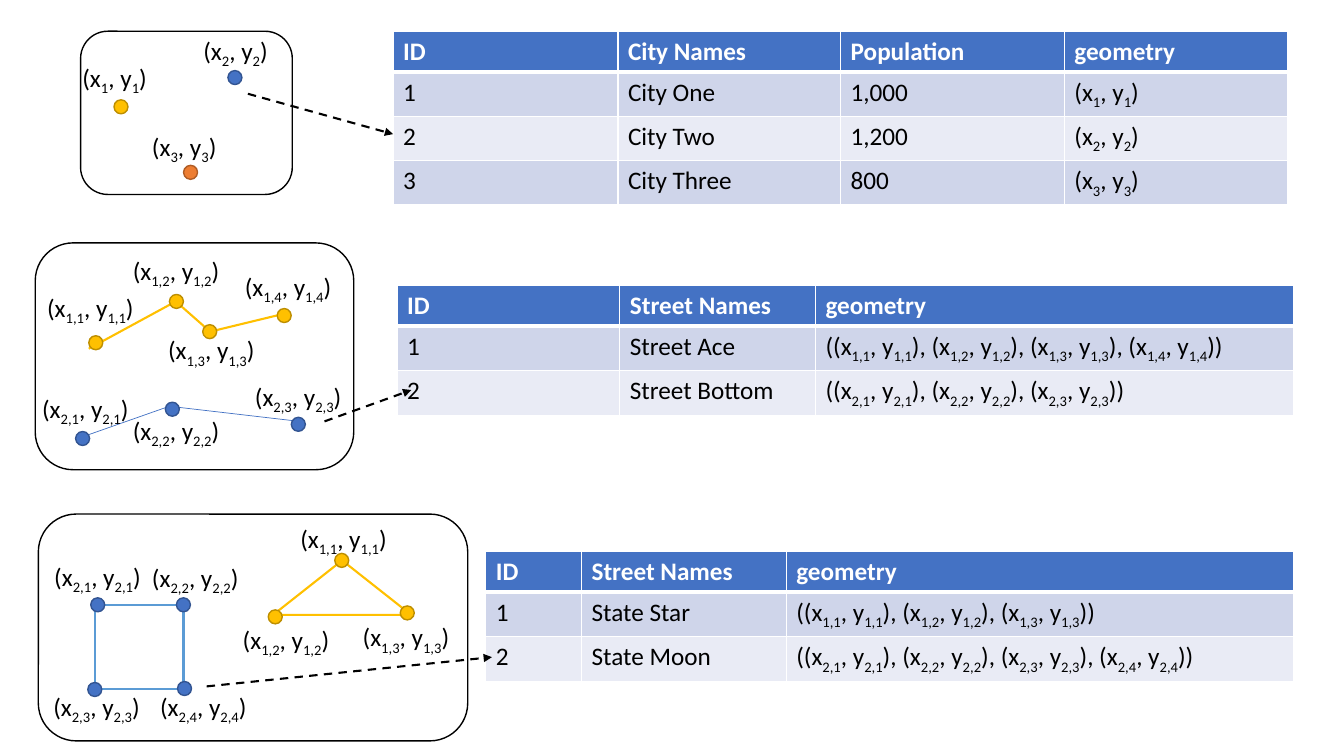
from dataclasses import dataclass
from itertools import pairwise

from lxml.etree import SubElement
from pptx import Presentation
from pptx.dml.color import RGBColor
from pptx.enum.dml import MSO_LINE
from pptx.enum.shapes import MSO_CONNECTOR, MSO_SHAPE
from pptx.enum.text import MSO_AUTO_SIZE
from pptx.oxml.ns import qn
from pptx.util import Pt


@dataclass(frozen=True)
class Theme:
    """Colours, type sizes and line widths."""
    font: str = "Calibri"
    size: float = 18
    ink: str = "000000"
    paper: str = "FFFFFF"
    blue: str = "4472C4"
    yellow: str = "FFC000"
    orange: str = "ED7D31"
    sky: str = "5B9BD5"
    blue_edge: str = "325491"
    yellow_edge: str = "BD8E00"
    orange_edge: str = "AF5C24"
    bands: tuple = ("CFD5EA", "E9EBF5")
    hairline: float = 0.5
    thin: float = 1
    medium: float = 1.5
    thick: float = 3
    dot: float = 10
    row: float = 29.2


def rgb(value):
    """Turn a hex string into a colour."""
    return RGBColor.from_string(value)


def point(index):
    """Return a coordinate pair with its subscripts between underscores."""
    return f"(x_{index}_, y_{index}_)"


def points(feature, count):
    """Return the coordinate list of a feature."""
    pairs = [point(f"{feature},{number}") for number in range(1, count + 1)]
    return f"({', '.join(pairs)})"


def write(para, text, *, font, size, color, bold=False):
    """Add text to a paragraph, lowering the parts between underscores."""
    for number, part in enumerate(text.split("_")):
        span = para.add_run()
        span.text = part
        span.font.name = font
        span.font.size = Pt(size)
        span.font.bold = bold
        span.font.color.rgb = rgb(color)
        if number % 2:
            span._r.get_or_add_rPr().set("baseline", "-25000")


class Painter:
    """Draw themed elements on the current slide."""

    def __init__(self, page, theme):
        """Keep the slide and its style."""
        self.page = page
        self.theme = theme

    def shape(self, kind, left, top, width, height, line, weight, fill=None):
        """Add an outlined preset shape."""
        box = self.page.shapes.add_shape(kind, Pt(left), Pt(top), Pt(width), Pt(height))
        box.shadow.inherit = False
        box.line.color.rgb = rgb(line)
        box.line.width = Pt(weight)
        if fill:
            box.fill.solid()
            box.fill.fore_color.rgb = rgb(fill)
        else:
            box.fill.background()

    def frame(self, left, top, width, height):
        """Add a rounded map frame."""
        self.shape(MSO_SHAPE.ROUNDED_RECTANGLE, left, top, width, height,
                   self.theme.ink, self.theme.thin)

    def dots(self, centers, fill, edge):
        """Add a dot at each centre."""
        size = self.theme.dot
        for x, y in centers:
            self.shape(MSO_SHAPE.OVAL, x - size / 2, y - size / 2, size, size,
                       edge, self.theme.thin, fill)

    def line(self, start, end, color, weight):
        """Add a straight line and return it."""
        line = self.page.shapes.add_connector(
            MSO_CONNECTOR.STRAIGHT, *(Pt(value) for value in (*start, *end)))
        line.line.color.rgb = rgb(color)
        line.line.width = Pt(weight)
        SubElement(line._element.spPr, qn("a:effectLst"))
        return line

    def path_line(self, stops, color, weight):
        """Join consecutive stops with lines."""
        for start, end in pairwise(stops):
            self.line(start, end, color, weight)

    def arrow(self, start, end):
        """Add a dashed arrow from a map to a table."""
        arrow = self.line(start, end, self.theme.ink, self.theme.medium)
        arrow.line.dash_style = MSO_LINE.DASH
        SubElement(arrow.line._get_or_add_ln(), qn("a:tailEnd"), type="triangle")

    def labels(self, places, width=81.4):
        """Add a coordinate label at each place."""
        for index, (left, top) in places.items():
            box = self.page.shapes.add_textbox(Pt(left), Pt(top), Pt(width), Pt(29.1))
            box.text_frame.word_wrap = False
            box.text_frame.auto_size = MSO_AUTO_SIZE.SHAPE_TO_FIT_TEXT
            write(box.text_frame.paragraphs[0], point(index), font=self.theme.font,
                  size=self.theme.size, color=self.theme.ink)

    def borders(self, cell, top, bottom):
        """Set the white borders of a table cell."""
        widths = {"L": self.theme.thin, "R": self.theme.thin, "T": top, "B": bottom}
        for side, width in widths.items():
            line = SubElement(cell._tc.get_or_add_tcPr(), qn(f"a:ln{side}"), w=str(Pt(width)))
            SubElement(SubElement(line, qn("a:solidFill")), qn("a:srgbClr"), val=self.theme.paper)

    def table(self, left, top, columns, rows):
        """Add an attribute table with a header and banded rows."""
        theme = self.theme
        table = self.page.shapes.add_table(
            len(rows), len(columns), Pt(left), Pt(top),
            Pt(sum(columns)), Pt(theme.row * len(rows))).table
        for column, width in zip(table.columns, columns):
            column.width = Pt(width)
        for number, texts in enumerate(rows):
            header = number == 0
            table.rows[number].height = Pt(theme.row)
            for position, text in enumerate(texts):
                cell = table.cell(number, position)
                self.borders(cell, theme.thick if number == 1 else theme.thin,
                             theme.thick if header else theme.thin)
                cell.fill.solid()
                cell.fill.fore_color.rgb = rgb(theme.blue if header else theme.bands[(number - 1) % 2])
                write(cell.text_frame.paragraphs[0], text, font=theme.font, size=theme.size,
                      color=theme.paper if header else theme.ink, bold=header)


def draw_cities(painter, theme):
    """Draw the point features and their table."""
    painter.dots([(167.8, 55.4)], theme.blue, theme.blue_edge)
    painter.dots([(86.4, 76.3)], theme.yellow, theme.yellow_edge)
    painter.dots([(136.1, 123.1)], theme.orange, theme.orange_edge)
    painter.table(280.8, 22.3, (160.6, 159.1, 159.8, 159.8), [
        ("ID", "City Names", "Population", "geometry"),
        ("1", "City One", "1,000", point(1)),
        ("2", "City Two", "1,200", point(2)),
        ("3", "City Three", "800", point(3))])
    painter.frame(57.6, 22.3, 151.2, 116.6)
    painter.labels({"1": (51.8, 41), "2": (138.2, 21.6), "3": (101.5, 90)}, width=62.6)
    painter.arrow((177.1, 67), (280.8, 95.8))


def draw_streets(painter, theme):
    """Draw the line features and their table."""
    painter.table(283.7, 203.8, (159.1, 139.7, 341.3), [
        ("ID", "Street Names", "geometry"),
        ("1", "Street Ace", points(1, 4)),
        ("2", "Street Bottom", points(2, 3))])
    painter.path_line([(63.4, 249.1), (125.6, 215.3), (150.1, 236.9), (203.8, 223.9)],
                      theme.yellow, theme.medium)
    painter.dots([(68.4, 244.8), (126, 215.3), (149.8, 236.9), (203, 225.4)],
                 theme.yellow, theme.yellow_edge)
    painter.frame(25.2, 173.5, 227.5, 162)
    painter.path_line([(57.6, 312.5), (121, 290.2), (213.8, 301)], theme.blue, theme.hairline)
    painter.dots([(59, 313.2), (123.1, 292.3), (213.1, 303.1)], theme.blue, theme.blue_edge)
    painter.labels({"1,1": (26.6, 205.2), "1,2": (87.8, 178.6), "1,3": (113, 235.4),
                    "1,4": (167.8, 190.1), "2,1": (23, 277.2), "2,2": (87.8, 293),
                    "2,3": (175, 268.6)})
    painter.arrow((231.8, 301), (293.8, 278.6))


def draw_states(painter, theme):
    """Draw the polygon features and their table."""
    painter.shape(MSO_SHAPE.ISOSCELES_TRIANGLE, 195.1, 400.3, 98.6, 38.9,
                  theme.yellow, theme.medium, theme.paper)
    painter.shape(MSO_SHAPE.RECTANGLE, 67.7, 432, 63.4, 60.5,
                  theme.sky, theme.medium, theme.paper)
    painter.frame(27.4, 367.2, 306.7, 162)
    painter.labels({"1,1": (207.4, 370.1), "1,2": (166.3, 442.1), "1,3": (252, 440.6)})
    painter.dots([(244.1, 400.3), (290.9, 437.8), (196.6, 440.6)],
                 theme.yellow, theme.yellow_edge)
    painter.dots([(69.8, 432), (131, 432), (131.8, 491.8), (67.7, 492.5)],
                 theme.blue, theme.blue_edge)
    painter.labels({"2,1": (31.7, 397.4), "2,2": (101.5, 398.2),
                    "2,3": (31, 490.3), "2,4": (107.3, 490.3)})
    painter.table(347, 393.8, (68.4, 146.2, 362.2), [
        ("ID", "Street Names", "geometry"),
        ("1", "State Star", points(1, 3)),
        ("2", "State Moon", points(2, 4))])
    painter.arrow((147.6, 490.3), (351.4, 469.4))


deck = Presentation()
deck.slide_width, deck.slide_height = Pt(960), Pt(540)
style = Theme()
artist = Painter(deck.slides.add_slide(deck.slide_layouts[6]), style)
for draw in (draw_cities, draw_streets, draw_states):
    draw(artist, style)
deck.save("out.pptx")
